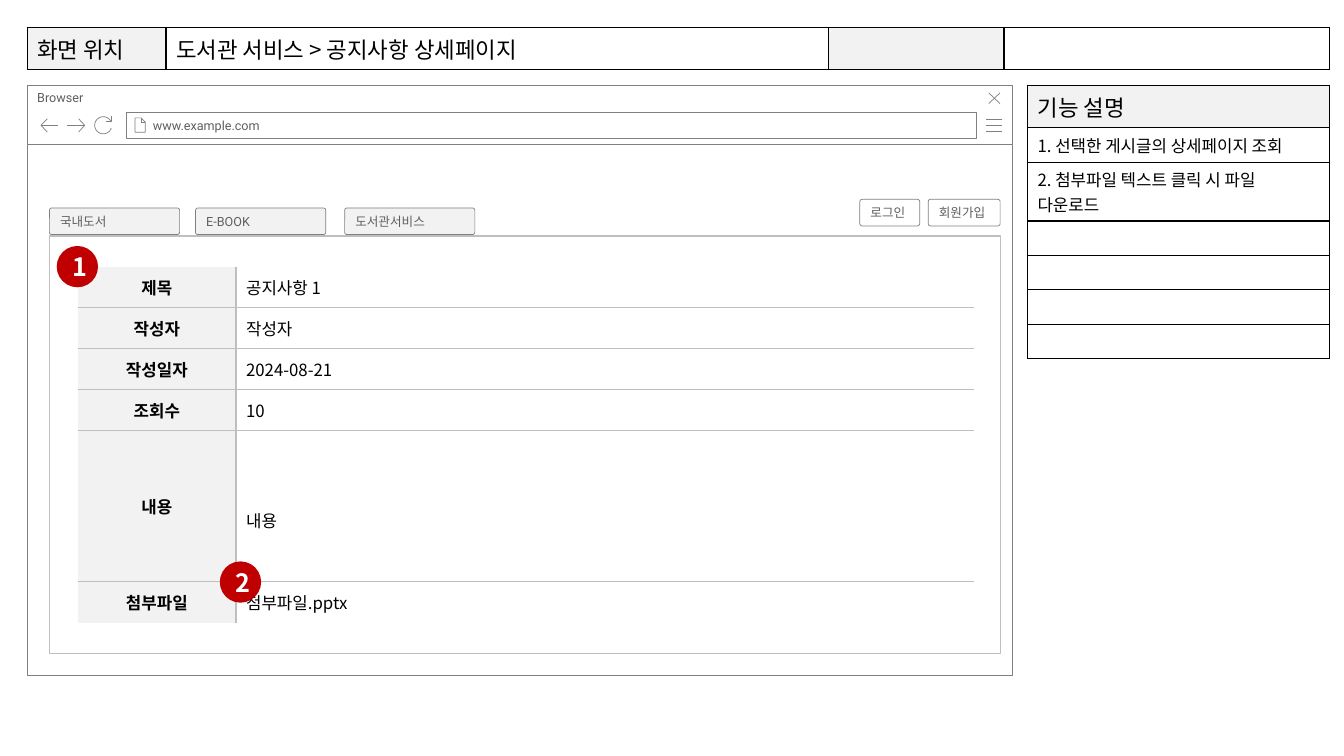
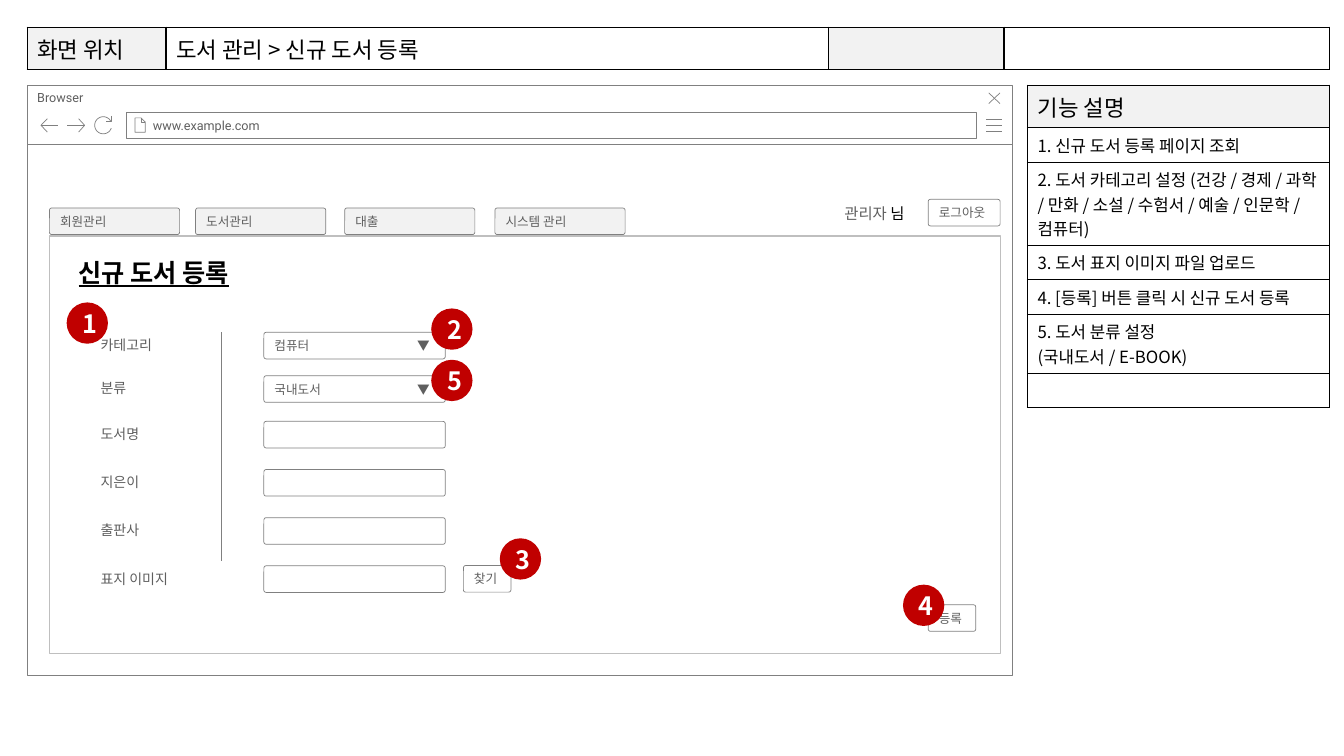
"""Build two annotated wireframe screens for a library service."""
from dataclasses import dataclass
from math import cos, radians, sin
from typing import NamedTuple, Optional

from lxml.etree import SubElement
from pptx import Presentation
from pptx.dml.color import RGBColor
from pptx.enum.shapes import MSO_CONNECTOR, MSO_SHAPE
from pptx.enum.text import MSO_ANCHOR, PP_ALIGN
from pptx.oxml.ns import qn
from pptx.util import Pt


class TextStyle(NamedTuple):
    size: float
    color: str
    font: str
    bold: bool = False
    underline: bool = False


@dataclass(frozen=True)
class Theme:
    black: str = "000000"
    white: str = "FFFFFF"
    outline: str = "808080"
    frame: str = "BFBFBF"
    shade: str = "F2F2F2"
    badge: str = "C00000"
    korean: str = "Noto Sans CJK KR"
    heading: TextStyle = TextStyle(16, "000000", "Noto Sans CJK KR")
    body: TextStyle = TextStyle(12, "000000", "Noto Sans CJK KR")
    body_bold: TextStyle = TextStyle(12, "000000", "Noto Sans CJK KR", True)
    page_title: TextStyle = TextStyle(18, "000000", "Noto Sans CJK KR", True, True)
    badge_text: TextStyle = TextStyle(18, "FFFFFF", "Noto Sans CJK KR", True)
    control: TextStyle = TextStyle(9, "5F5F5F", "Roboto")
    label: TextStyle = TextStyle(10, "5F5F5F", "Roboto")
    user: TextStyle = TextStyle(11, "5F5F5F", "Roboto")
    user_suffix: TextStyle = TextStyle(11, "000000", "Noto Sans CJK KR")


THEME = Theme()


class Box(NamedTuple):
    left: float
    top: float
    width: float
    height: float


class Button(NamedTuple):
    text: str
    left: float
    top: float
    width: float


class Badge(NamedTuple):
    number: int
    left: float
    top: float


class Field(NamedTuple):
    label: str
    top: float
    value: str = ""


class Detail(NamedTuple):
    label: str
    value: str
    height: float = 29.3
    extra_top: float = 0


@dataclass(frozen=True)
class Screen:
    location: str
    menu: tuple
    buttons: tuple
    notes: tuple


CONTROL_HEIGHT = 19
CORNER = 0.088
BADGE_SIZE = 29.5
NOTE_ROWS = 6
MENU_LEFTS = (35.3, 139.7, 246.2, 353.5)
MENU_WIDTH = 93
DROPDOWN_TAB = 102

MEMBER_SCREEN = Screen(
    "도서관 서비스 > 공지사항 상세페이지",
    ("국내도서", "E-BOOK", "도서관서비스"),
    (Button("로그인", 614.2, 142.4, 42.8), Button("회원가입", 663, 142.4, 51.4)),
    ("1. 선택한 게시글의 상세페이지 조회", "2. 첨부파일 텍스트 클릭 시 파일 다운로드"),
)
ADMIN_SCREEN = Screen(
    "도서 관리 > 신규 도서 등록",
    ("회원관리", "도서관리", "대출", "시스템 관리"),
    (Button("로그아웃", 663, 142.4, 51.4), Button("등록", 663, 432, 34),
     Button("찾기", 331, 404, 34)),
    ("1. 신규 도서 등록 페이지 조회",
     "2. 도서 카테고리 설정 (건강 / 경제 / 과학 / 만화 / 소설 / 수험서 / 예술 / 인문학 / 컴퓨터)",
     "3. 도서 표지 이미지 파일 업로드",
     "4. [등록] 버튼 클릭 시 신규 도서 등록",
     "5. 도서 분류 설정\n(국내도서 / E-BOOK)"),
)
DETAILS = (
    Detail("제목", "공지사항 1"),
    Detail("작성자", "작성자"),
    Detail("작성일자", "2024-08-21"),
    Detail("조회수", "10"),
    Detail("내용", "내용", 107.8, 20),
    Detail("첨부파일", "첨부파일.pptx"),
)
FIELDS = (
    Field("카테고리", 237.4, "컴퓨터\t▼"),
    Field("분류", 268.4, "국내도서\t▼"),
    *(Field(label, 301 + 34.4 * index)
      for index, label in enumerate(("도서명", "지은이", "출판사", "표지 이미지"))),
)
DETAIL_BADGES = (Badge(1, 40.5, 175.7), Badge(2, 157, 401))
FORM_BADGES = (Badge(1, 47.6, 216), Badge(2, 308, 220.3), Badge(3, 357, 384.5),
               Badge(4, 645, 417.6), Badge(5, 308, 257))
RELOAD_ARC = tuple((73.8 + 6.1 * cos(radians(angle)), 89.5 + 6.1 * sin(radians(angle)))
                   for angle in range(20, 331, 10))
ICONS = (
    tuple(((704.4, top), (716, top)) for top in (85, 89.3, 93.6)),
    (((714.3, 66.4), (706.3, 74)), ((706.3, 66.4), (714.3, 74))),
    (((100.8, 84.2), (100.8, 87.2), (103.8, 87.2)),
     ((96.5, 84.2), (96.5, 94.5), (103.8, 94.5), (103.8, 87.2), (100.8, 84.2), (96.5, 84.2))),
    (((33.8, 94.3), (29.3, 89.5), (33.8, 84.8)), ((29.3, 89.5), (41.2, 89.5))),
    (((56.2, 84.8), (60.5, 89.5), (56.2, 94.3)), ((60.5, 89.5), (48.2, 89.5))),
    (((79.9, 82.8), (79.9, 86.6), (75.7, 86.6)), RELOAD_ARC),
)


def color(value: str) -> RGBColor:
    return RGBColor.from_string(value)


def write(paragraph, text: str, style: TextStyle) -> None:
    if not text:
        SubElement(paragraph._p, qn("a:endParaRPr"), sz=str(int(style.size * 100)))
        return
    run = paragraph.add_run()
    run.text = text
    formats = {"name": style.font, "size": Pt(style.size),
               "bold": style.bold, "underline": style.underline}
    for name, value in formats.items():
        setattr(run.font, name, value)
    run.font.color.rgb = color(style.color)
    SubElement(run._r.get_or_add_rPr(), qn("a:ea"), typeface=THEME.korean)


def add_tab_stop(paragraph, position: float) -> None:
    tabs = SubElement(paragraph._p.get_or_add_pPr(), qn("a:tabLst"))
    SubElement(tabs, qn("a:tab"), pos=str(Pt(position)), algn="l")


def add_box(slide, box: Box, text: str = "", style: TextStyle = THEME.control,
            kind: MSO_SHAPE = MSO_SHAPE.RECTANGLE, fill: Optional[str] = THEME.white,
            line: Optional[str] = THEME.outline, line_width: float = 0.5,
            align: PP_ALIGN = PP_ALIGN.LEFT, **frame_formats):
    shape = slide.shapes.add_shape(kind, *map(Pt, box))
    shape.shadow.inherit = False
    if fill:
        shape.fill.solid()
        shape.fill.fore_color.rgb = color(fill)
    else:
        shape.fill.background()
    if line:
        shape.line.color.rgb = color(line)
        shape.line.width = Pt(line_width)
    else:
        shape.line.fill.background()
    formats = {"word_wrap": True, "vertical_anchor": MSO_ANCHOR.MIDDLE, **frame_formats}
    for name, value in formats.items():
        setattr(shape.text_frame, name, value)
    paragraph = shape.text_frame.paragraphs[0]
    paragraph.alignment = align
    if "\t" in text:
        add_tab_stop(paragraph, DROPDOWN_TAB)
    write(paragraph, text, style)
    return shape


def add_control(slide, button: Button, fill: str = THEME.white) -> None:
    box = Box(button.left, button.top, button.width, CONTROL_HEIGHT)
    shape = add_box(slide, box, button.text, kind=MSO_SHAPE.ROUNDED_RECTANGLE, fill=fill)
    shape.adjustments[0] = CORNER


def add_text(slide, box: Box, *parts: tuple) -> None:
    frame = slide.shapes.add_textbox(*map(Pt, box)).text_frame
    frame.word_wrap = True
    for text, style in parts:
        write(frame.paragraphs[0], text, style)


def add_badge(slide, badge: Badge) -> None:
    add_box(slide, Box(badge.left, badge.top, BADGE_SIZE, BADGE_SIZE), str(badge.number),
            THEME.badge_text, MSO_SHAPE.OVAL, THEME.badge, None, align=PP_ALIGN.CENTER)


def add_icon(slide, strokes: tuple) -> None:
    builder = None
    for stroke in strokes:
        points = [(Pt(left), Pt(top)) for left, top in stroke]
        if builder is None:
            builder = slide.shapes.build_freeform(*points[0])
        else:
            builder.move_to(*points[0])
        builder.add_line_segments(points[1:], close=False)
    shape = builder.convert_to_shape()
    shape.shadow.inherit = False
    shape.fill.background()
    shape.line.color.rgb = color(THEME.outline)
    shape.line.width = Pt(0.5)


def add_table(slide, left: float, top: float, widths: tuple, heights: tuple):
    table = slide.shapes.add_table(len(heights), len(widths), Pt(left), Pt(top),
                                   Pt(sum(widths)), Pt(sum(heights))).table
    table.first_row = table.horz_banding = False
    for column, width in zip(table.columns, widths):
        column.width = Pt(width)
    for row, height in zip(table.rows, heights):
        row.height = Pt(height)
    return table


def fill_cell(cell, text: str, style: TextStyle, fill: Optional[str] = None,
              sides: str = "LRTB", line: str = THEME.black,
              align: PP_ALIGN = PP_ALIGN.LEFT) -> None:
    for side in "LRTB":
        border = SubElement(cell._tc.get_or_add_tcPr(), qn(f"a:ln{side}"), w=str(Pt(1)))
        if side in sides:
            SubElement(SubElement(border, qn("a:solidFill")), qn("a:srgbClr"), val=line)
        else:
            SubElement(border, qn("a:noFill"))
    if fill:
        cell.fill.solid()
        cell.fill.fore_color.rgb = color(fill)
    else:
        cell.fill.background()
    frame = cell.text_frame
    for index, content in enumerate(text.split("\n")):
        paragraph = frame.add_paragraph() if index else frame.paragraphs[0]
        paragraph.alignment = align
        write(paragraph, content, style)


def add_screen(presentation, screen: Screen):
    slide = presentation.slides.add_slide(presentation.slide_layouts[6])
    add_box(slide, Box(19.5, 103.2, 703.5, 379.2))
    add_box(slide, Box(19.5, 60.8, 703.5, 42.4), "Browser",
            vertical_anchor=MSO_ANCHOR.TOP, margin_right=Pt(18))
    add_box(slide, Box(90.5, 80.2, 607, 18.7), "www.example.com", margin_left=Pt(18.7))
    for strokes in ICONS:
        add_icon(slide, strokes)
    notes = add_table(slide, 733.9, 60.8, (216,), (30.4,) + (24.6,) * NOTE_ROWS)
    fill_cell(notes.cell(0, 0), "기능 설명", THEME.heading, THEME.shade)
    for row in range(NOTE_ROWS):
        text = screen.notes[row] if row < len(screen.notes) else ""
        fill_cell(notes.cell(row + 1, 0), text, THEME.body)
    header = add_table(slide, 19.5, 19.5, (99.1, 473.2, 125.4, 232.4), (30.4,))
    for column, text in enumerate(("화면 위치", screen.location, "", "")):
        fill_cell(header.cell(0, column), text, THEME.heading,
                  None if column % 2 else THEME.shade)
    for left, text in zip(MENU_LEFTS, screen.menu):
        add_control(slide, Button(text, left, 148.6, MENU_WIDTH), THEME.shade)
    add_box(slide, Box(35.3, 168.6, 679.5, 298), fill=None, line=THEME.frame, line_width=1)
    for button in screen.buttons:
        add_control(slide, button)
    return slide


def add_notice_detail(slide) -> None:
    table = add_table(slide, 55.6, 190.6, (113, 527), tuple(item.height for item in DETAILS))
    for row, item in enumerate(DETAILS):
        sides = ("T" if row else "") + ("B" if row < len(DETAILS) - 1 else "")
        label, value = table.cell(row, 0), table.cell(row, 1)
        fill_cell(label, item.label, THEME.body_bold, THEME.shade, "R" + sides,
                  THEME.frame, PP_ALIGN.CENTER)
        fill_cell(value, item.value, THEME.body, None, "L" + sides, THEME.frame)
        label.vertical_anchor = value.vertical_anchor = MSO_ANCHOR.MIDDLE
        value.margin_top = Pt(3.6 + item.extra_top)


def add_book_form(slide) -> None:
    add_text(slide, Box(596, 142.4, 71.3, 21), ("관리자 ", THEME.user), ("님", THEME.user_suffix))
    add_text(slide, Box(49, 180, 137, 29), ("신규 도서 등록", THEME.page_title))
    divider = slide.shapes.add_connector(MSO_CONNECTOR.STRAIGHT, Pt(158.4), Pt(237.4),
                                         Pt(158.4), Pt(400.4))
    divider.line.color.rgb = color(THEME.outline)
    divider.line.width = Pt(0.5)
    SubElement(divider._element.spPr, qn("a:effectLst"))
    for field in FIELDS:
        add_text(slide, Box(64.8, field.top - 0.5, 80, 19.4), (field.label, THEME.label))
        add_control(slide, Button(field.value, 188.5, field.top, 129.6))


def main() -> None:
    presentation = Presentation()
    presentation.slide_width, presentation.slide_height = Pt(960), Pt(540)
    pages = ((MEMBER_SCREEN, add_notice_detail, DETAIL_BADGES),
             (ADMIN_SCREEN, add_book_form, FORM_BADGES))
    for screen, add_content, badges in pages:
        slide = add_screen(presentation, screen)
        add_content(slide)
        for badge in badges:
            add_badge(slide, badge)
    presentation.save("out.pptx")


if __name__ == "__main__":
    main()
